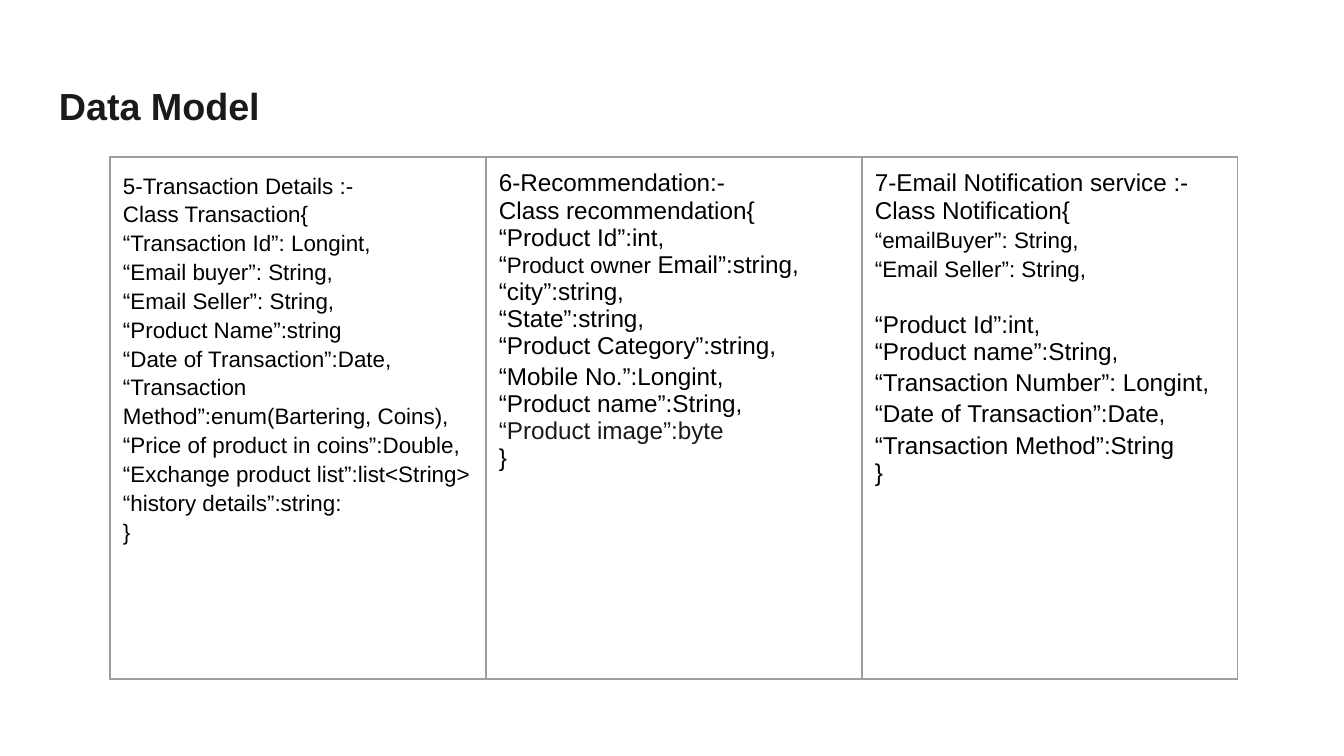
"""Build the Data Model slide with three class definitions in a table."""
from dataclasses import dataclass

import pptx
import pptx.dml.color
import pptx.enum.text
import pptx.oxml
import pptx.oxml.ns
import pptx.util

EMU_PER_PX = 914400 / 134.4
FONT = "Arial"
BLACK = pptx.dml.color.RGBColor(0x00, 0x00, 0x00)
DARK = pptx.dml.color.RGBColor(0x1A, 0x1A, 0x1A)
GREY = pptx.dml.color.RGBColor(0x9E, 0x9E, 0x9E)
WHITE = pptx.dml.color.RGBColor(0xFF, 0xFF, 0xFF)
BORDER_PT = 0.75
SMALL, LARGE = 12, 13
LOOSE = 1.15


@dataclass(frozen=True)
class Run:
    text: str
    size: float = LARGE
    color: pptx.dml.color.RGBColor = BLACK
    bold: bool = False


@dataclass(frozen=True)
class Line:
    runs: tuple[Run, ...]
    spacing: float = 1.0
    before: int = 0


def line(text: str, size: float = LARGE, spacing: float = 1.0, before: int = 0) -> Line:
    """Return a line made of a single black run."""
    return Line((Run(text, size),), spacing, before)


TRANSACTION = [
    line(text, SMALL, LOOSE)
    for text in (
        "5-Transaction Details :-",
        "Class Transaction{",
        "“Transaction Id”: Longint,",
        "“Email buyer”: String,",
        "“Email Seller”: String,",
        "“Product Name”:string",
        "“Date of Transaction”:Date,",
        "“Transaction Method”:enum(Bartering, Coins),",
        "“Price of product in coins”:Double,",
        "“Exchange product list”:list<String>",
        "“history details”:string:",
        "}",
    )
]
RECOMMENDATION = [
    line("6-Recommendation:-"),
    line("Class recommendation{"),
    line("“Product Id”:int,"),
    Line((Run("“"), Run("Product owner ", SMALL), Run("Email”:string,"))),
    line("“city”:string,"),
    line("“State”:string,"),
    line("“Product Category”:string,"),
    line("“Mobile No.”:Longint,", spacing=LOOSE),
    line("“Product name”:String,"),
    Line((Run("“Product image”:byte", color=DARK),)),
    line("}"),
]
NOTIFICATION = [
    line("7-Email Notification service :-"),
    line("Class Notification{"),
    line("“emailBuyer”: String,", SMALL, LOOSE),
    line("“Email Seller”: String,", SMALL, LOOSE),
    line("“Product Id”:int,", before=16),
    line("“Product name”:String,"),
    line("“Transaction Number”: Longint,", spacing=LOOSE),
    line("“Date of Transaction”:Date,", spacing=LOOSE),
    line("“Transaction Method”:String", spacing=LOOSE),
    line("}"),
]
COLUMNS = (TRANSACTION, RECOMMENDATION, NOTIFICATION)
COLUMN_WIDTH = 376
ROW_HEIGHTS = (56, 466)


def px(value: int) -> pptx.util.Emu:
    """Convert pixels to EMU."""
    return pptx.util.Emu(round(value * EMU_PER_PX))


def set_margins(target, top: int = 13, other: int = 13) -> None:
    """Set the inner margins of a text frame or a cell."""
    target.margin_top = px(top)
    target.margin_left = target.margin_right = target.margin_bottom = px(other)


def write_lines(tf, lines: list[Line]) -> None:
    """Fill a text frame with one paragraph per line."""
    for i, item in enumerate(lines):
        p = tf.add_paragraph() if i else tf.paragraphs[0]
        p.alignment = pptx.enum.text.PP_ALIGN.LEFT
        p.line_spacing = item.spacing
        p.space_before = pptx.util.Pt(item.before)
        for run in item.runs:
            r = p.add_run()
            r.text = run.text
            r.font.name = FONT
            r.font.size = pptx.util.Pt(run.size)
            r.font.bold = run.bold
            r.font.color.rgb = run.color


def style_cell(cell) -> None:
    """Give a cell thin grey borders and no fill."""
    tc_pr = cell._tc.get_or_add_tcPr()
    for side in ("lnL", "lnR", "lnT", "lnB"):
        tc_pr.append(pptx.oxml.parse_xml(
            f'<a:{side} {pptx.oxml.ns.nsdecls("a")} w="{pptx.util.Pt(BORDER_PT)}">'
            f'<a:solidFill><a:srgbClr val="{GREY}"/></a:solidFill></a:{side}>'
        ))
    cell.fill.background()


def add_title(s) -> None:
    """Add the slide heading."""
    sp = s.shapes.add_textbox(px(46), px(66), px(1253), px(85))
    tf = sp.text_frame
    tf.word_wrap = True
    tf.vertical_anchor = pptx.enum.text.MSO_ANCHOR.TOP
    set_margins(tf, top=17)
    write_lines(tf, [Line((Run("Data Model", 20.2, DARK, True),))])


def add_class_table(s) -> None:
    """Add the table, each column merged into one tall cell."""
    table = s.shapes.add_table(
        len(ROW_HEIGHTS), len(COLUMNS), px(110), px(157),
        px(COLUMN_WIDTH * len(COLUMNS)), px(sum(ROW_HEIGHTS)),
    ).table
    table.first_row = table.horz_banding = False
    for row, height in zip(table.rows, ROW_HEIGHTS):
        row.height = px(height)
    for cell in table.iter_cells():
        style_cell(cell)
    for i, lines in enumerate(COLUMNS):
        table.columns[i].width = px(COLUMN_WIDTH)
        cell = table.cell(0, i)
        cell.merge(table.cell(len(ROW_HEIGHTS) - 1, i))
        cell.vertical_anchor = pptx.enum.text.MSO_ANCHOR.TOP
        set_margins(cell)
        write_lines(cell.text_frame, lines)


def main() -> None:
    """Create and save the presentation."""
    prs = pptx.Presentation()
    prs.slide_width, prs.slide_height = px(1344), px(756)
    s = prs.slides.add_slide(prs.slide_layouts[6])
    s.background.fill.solid()
    s.background.fill.fore_color.rgb = WHITE
    add_title(s)
    add_class_table(s)
    prs.save("out.pptx")


if __name__ == "__main__":
    main()
